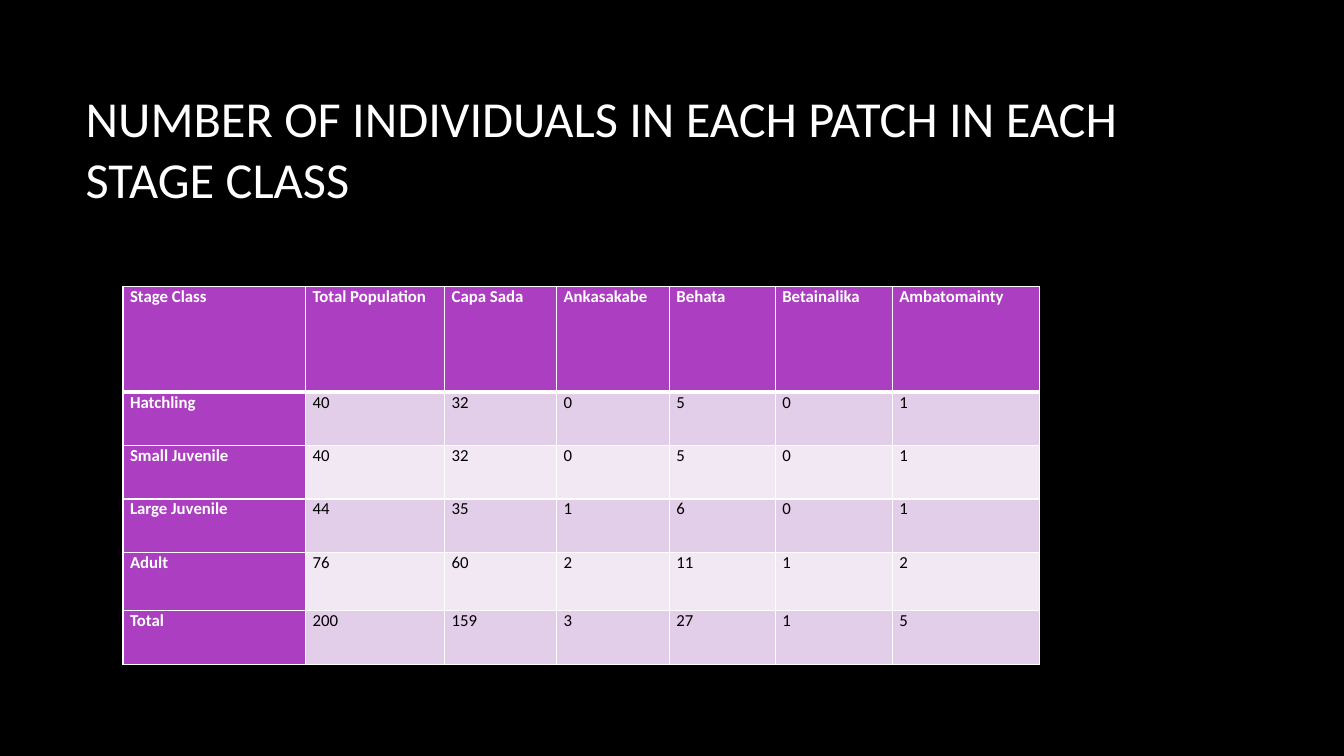
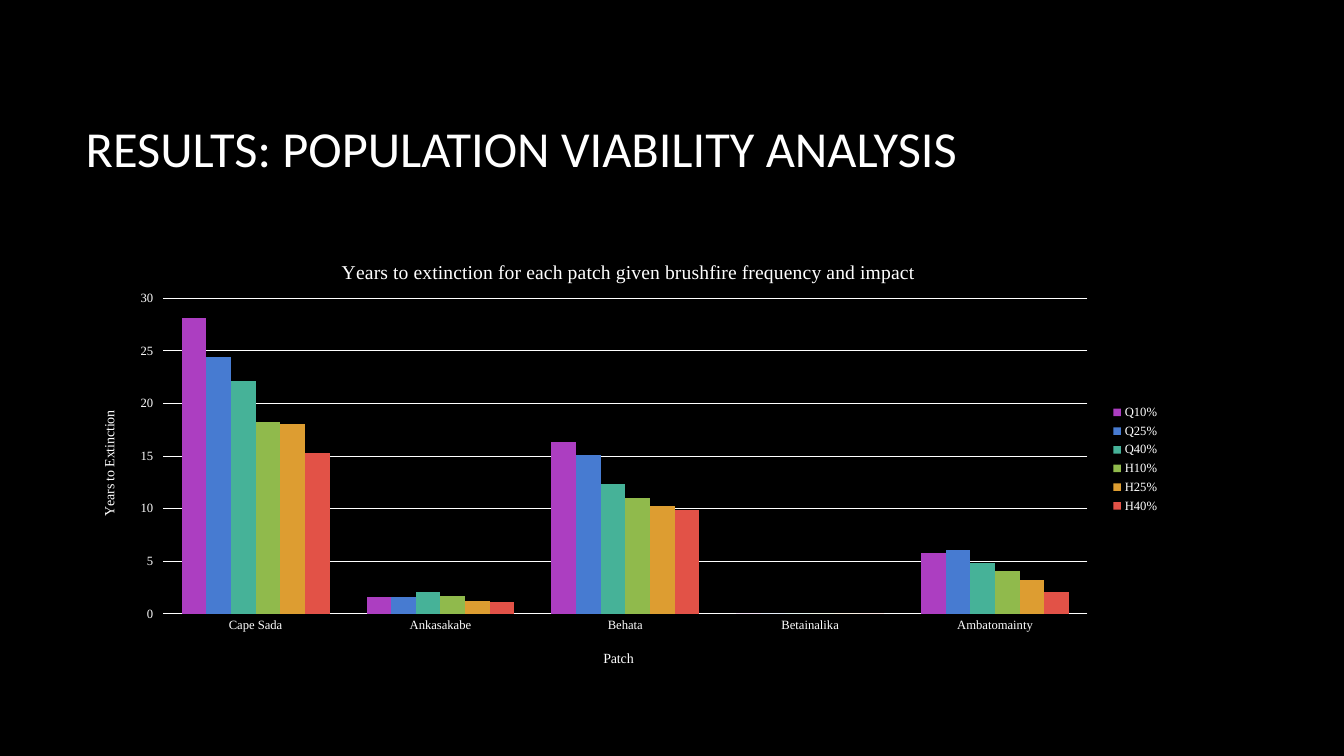
from dataclasses import dataclass

from lxml.etree import SubElement
from pptx import Presentation
from pptx.chart.data import CategoryChartData
from pptx.dml.color import RGBColor
from pptx.enum.chart import XL_CHART_TYPE, XL_LEGEND_POSITION, XL_TICK_MARK
from pptx.enum.text import MSO_ANCHOR, PP_ALIGN
from pptx.oxml import parse_xml
from pptx.oxml.ns import nsdecls, qn
from pptx.util import Inches, Pt


@dataclass(frozen=True)
class Theme:
    background: str = "000000"
    light: str = "FFFFFF"
    dark: str = "000000"
    accent: str = "AC3EC1"
    bands: tuple = ("E3CEE9", "F1E8F4")
    series: tuple = ("AC3EC1", "477BD1", "46B298", "90BA4C", "DD9D31", "E25247")
    font: str = "Calibri"
    chart_font: str = "Times New Roman"
    title_size: int = 36
    table_size: int = 12
    chart_title_size: int = 14
    axis_title_size: int = 10
    label_size: int = 9
    thin: float = 1
    thick: float = 3
    chart_line: float = 0.75


THEME = Theme()

TABLE_TITLE = "NUMBER OF INDIVIDUALS IN EACH PATCH IN EACH STAGE CLASS"
TABLE_ROWS = [
    ("Stage Class", "Total Population", "Capa Sada", "Ankasakabe",
     "Behata", "Betainalika", "Ambatomainty"),
    ("Hatchling", 40, 32, 0, 5, 0, 1),
    ("Small Juvenile", 40, 32, 0, 5, 0, 1),
    ("Large Juvenile", 44, 35, 1, 6, 0, 1),
    ("Adult", 76, 60, 2, 11, 1, 2),
    ("Total", 200, 159, 3, 27, 1, 5),
]
COLUMN_WIDTHS = (1.81, 1.38, 1.11, 1.12, 1.05, 1.16, 1.46)
ROW_HEIGHTS = (1.05, 0.53, 0.53, 0.53, 0.58, 0.53)

CHART_SLIDE_TITLE = "RESULTS: POPULATION VIABILITY ANALYSIS"
CHART_TITLE = "Years to extinction for each patch given brushfire frequency and impact"
PATCH_AXIS = "Patch"
YEARS_AXIS = "Years to Extinction"
PATCHES = ("Cape Sada", "Ankasakabe", "Behata", "Betainalika", "Ambatomainty")
YEARS_TO_EXTINCTION = {
    "Q10%": (28.1, 1.6, 16.3, 0, 5.8),
    "Q25%": (24.4, 1.6, 15.1, 0, 6.1),
    "Q40%": (22.1, 2.1, 12.3, 0, 4.8),
    "H10%": (18.2, 1.7, 11, 0, 4.1),
    "H25%": (18.1, 1.2, 10.3, 0, 3.2),
    "H40%": (15.3, 1.1, 9.9, 0, 2.1),
}


def color(value):
    return RGBColor.from_string(value)


def style_font(font, name, size, value, bold=False):
    font.name, font.size, font.bold = name, Pt(size), bold
    font.color.rgb = color(value)


def add_titled_slide(presentation, text):
    slide = presentation.slides.add_slide(presentation.slide_layouts.get_by_name("Title Only"))
    title = slide.shapes.title
    title.left, title.top = Inches(0.75), Inches(0.67)
    title.width, title.height = Inches(11.08), Inches(1.59)
    frame = title.text_frame
    frame.text = text
    frame.word_wrap = True
    frame.vertical_anchor = MSO_ANCHOR.MIDDLE
    paragraph = frame.paragraphs[0]
    paragraph.alignment = PP_ALIGN.LEFT
    style_font(paragraph.font, THEME.font, THEME.title_size, THEME.light)
    return slide


def set_borders(cell, widths):
    """Draw cell borders; widths maps a side (L, R, T, B) to points."""
    properties = cell._tc.get_or_add_tcPr()
    for side, width in widths.items():
        line = SubElement(properties, qn(f"a:ln{side}"), w=str(Pt(width)))
        fill = SubElement(line, qn("a:solidFill"))
        SubElement(fill, qn("a:srgbClr"), val=THEME.light)


def fill_cell(cell, value, row, column):
    is_heading = row == 0 or column == 0
    set_borders(cell, {
        "L": THEME.thin,
        "R": THEME.thin,
        "T": THEME.thick if row == 1 else THEME.thin,
        "B": THEME.thick if row == 0 else THEME.thin,
    })
    cell.fill.solid()
    cell.fill.fore_color.rgb = color(THEME.accent if is_heading else THEME.bands[(row - 1) % 2])
    cell.margin_left = cell.margin_right = Inches(0.07)
    cell.margin_top = cell.margin_bottom = 0
    cell.text = str(value)
    style_font(cell.text_frame.paragraphs[0].font, THEME.font, THEME.table_size,
               THEME.light if is_heading else THEME.dark, bold=is_heading)


def add_population_table(slide):
    table = slide.shapes.add_table(
        len(ROW_HEIGHTS), len(COLUMN_WIDTHS), Inches(1.22), Inches(2.84),
        Inches(sum(COLUMN_WIDTHS)), Inches(sum(ROW_HEIGHTS))).table
    for column, width in zip(table.columns, COLUMN_WIDTHS):
        column.width = Inches(width)
    for row, height in zip(table.rows, ROW_HEIGHTS):
        row.height = Inches(height)
    for row, values in enumerate(TABLE_ROWS):
        for column, value in enumerate(values):
            fill_cell(table.cell(row, column), value, row, column)


def place_in_chart(element, **fractions):
    """Fix a chart part at x, y (and w, h), as fractions of the chart."""
    for old_layout in element.findall(qn("c:layout")):
        element.remove(old_layout)
    inner = '<c:layoutTarget val="inner"/>' if "w" in fractions else ""
    modes = "".join(f'<c:{axis}Mode val="edge"/>' for axis in "xy")
    sizes = "".join(f'<c:{key} val="{value}"/>' for key, value in fractions.items())
    layout = parse_xml(f'<c:layout {nsdecls("c")}><c:manualLayout>'
                       f'{inner}{modes}{sizes}</c:manualLayout></c:layout>')
    text = element.find(qn("c:tx"))
    element.insert(0 if text is None else element.index(text) + 1, layout)


def set_chart_title(title, text, size, x, y):
    frame = title.text_frame
    frame.text = text
    style_font(frame.paragraphs[0].font, THEME.chart_font, size, THEME.light)
    place_in_chart(title._element, x=x, y=y)


def draw_line(line):
    line.color.rgb = color(THEME.light)
    line.width = Pt(THEME.chart_line)


def add_extinction_chart(slide):
    data = CategoryChartData()
    data.categories = PATCHES
    for name, values in YEARS_TO_EXTINCTION.items():
        data.add_series(name, values)
    chart = slide.shapes.add_chart(
        XL_CHART_TYPE.COLUMN_CLUSTERED, Inches(0.75), Inches(2.34),
        Inches(10.85), Inches(4.43), data).chart
    style_font(chart.font, THEME.chart_font, THEME.axis_title_size, THEME.light)

    plot = chart.plots[0]
    plot.gap_width, plot.overlap = 150, 0
    plot.vary_by_categories = False
    for series, value in zip(plot.series, THEME.series):
        series.format.fill.solid()
        series.format.fill.fore_color.rgb = color(value)
    place_in_chart(chart._chartSpace.chart.plotArea, x=0.08, y=0.14, w=0.845, h=0.707)

    patches, years = chart.category_axis, chart.value_axis
    for axis in (patches, years):
        style_font(axis.tick_labels.font, THEME.chart_font, THEME.label_size, THEME.light)
    patches.major_tick_mark = XL_TICK_MARK.NONE
    draw_line(patches.format.line)
    years.major_tick_mark = XL_TICK_MARK.OUTSIDE
    years.minimum_scale, years.maximum_scale, years.major_unit = 0, 30, 5
    years.format.line.fill.background()
    years.has_major_gridlines = True
    draw_line(years.major_gridlines.format.line)

    set_chart_title(chart.chart_title, CHART_TITLE, THEME.chart_title_size, 0.24, 0.045)
    set_chart_title(patches.axis_title, PATCH_AXIS, THEME.axis_title_size, 0.48, 0.92)
    set_chart_title(years.axis_title, YEARS_AXIS, THEME.axis_title_size, 0.02, 0.385)
    years.axis_title.text_frame._txBody.bodyPr.set("rot", "-5400000")

    chart.has_legend = True
    chart.legend.position = XL_LEGEND_POSITION.RIGHT
    chart.legend.include_in_layout = False
    style_font(chart.legend.font, THEME.chart_font, THEME.label_size, THEME.light)


def main():
    presentation = Presentation()
    presentation.slide_width, presentation.slide_height = Inches(13.33), Inches(7.5)
    background = presentation.slide_master.background.fill
    background.solid()
    background.fore_color.rgb = color(THEME.background)

    add_population_table(add_titled_slide(presentation, TABLE_TITLE))
    add_extinction_chart(add_titled_slide(presentation, CHART_SLIDE_TITLE))
    presentation.save("out.pptx")


if __name__ == "__main__":
    main()
